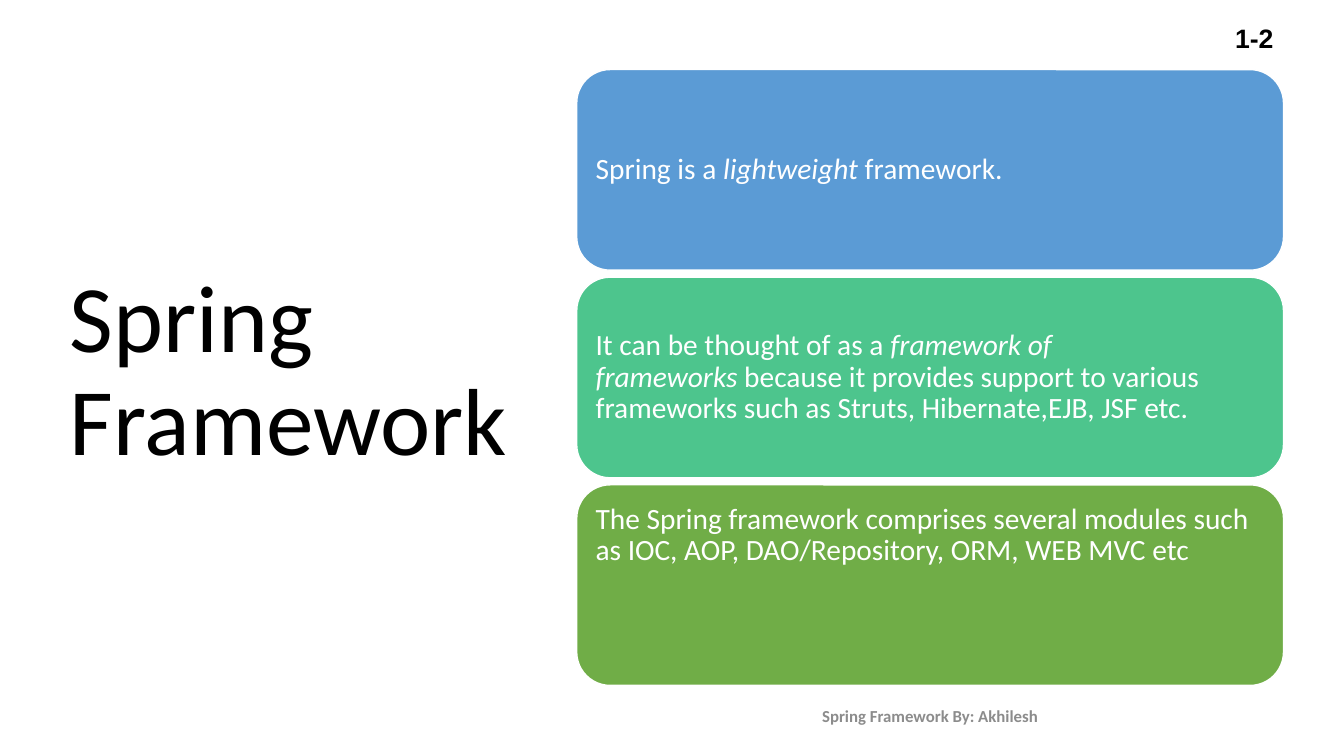
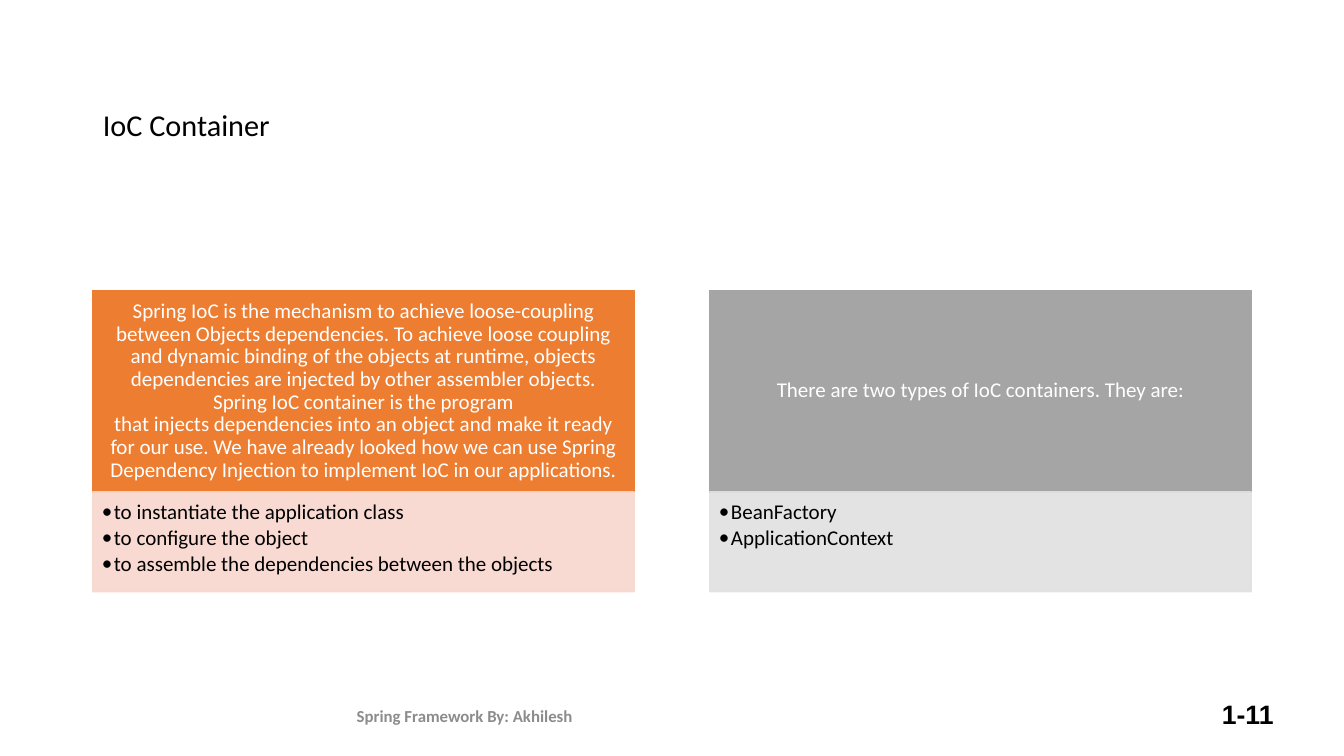
"""Build two slides on the Spring framework and its IoC container."""
from lxml.etree import SubElement
from pptx import Presentation
from pptx.dml.color import RGBColor
from pptx.enum.shapes import MSO_SHAPE as Shape
from pptx.enum.text import MSO_ANCHOR as Anchor, MSO_AUTO_SIZE as AutoSize, PP_ALIGN as Align
from pptx.oxml.ns import qn
from pptx.util import Inches, Pt

BLACK = RGBColor(0x00, 0x00, 0x00)
WHITE = RGBColor(0xFF, 0xFF, 0xFF)
GRAY = RGBColor(0x8C, 0x8C, 0x8C)
BLUE = RGBColor(0x5B, 0x9B, 0xD5)
TEAL = RGBColor(0x4D, 0xC5, 0x8D)
GREEN = RGBColor(0x70, 0xAD, 0x47)
ORANGE = RGBColor(0xED, 0x7D, 0x31)
PEACH = RGBColor(0xF8, 0xD7, 0xCE)
SILVER = RGBColor(0xA5, 0xA5, 0xA5)
PALE = RGBColor(0xE1, 0xE1, 0xE1)

FOOTER = "Spring Framework By: Akhilesh"
FOOTER_TOP = 6.9
HARD_SPACE = chr(160)


def write(frame, paragraphs, size=15, color=BLACK, font="Calibri", bold=False,
          align=Align.LEFT, anchor=Anchor.MIDDLE, insets=(0.1, 0.05, 0.1, 0.05),
          spacing=0.9, after=0, bullet=None):
    """Fill a text frame; asterisks enclose italics and a tilde is a hard space."""
    frame.word_wrap = True
    frame.auto_size = AutoSize.NONE
    frame.vertical_anchor = anchor
    (frame.margin_left, frame.margin_top,
     frame.margin_right, frame.margin_bottom) = map(Inches, insets)
    for index, content in enumerate(paragraphs):
        paragraph = frame.add_paragraph() if index else frame.paragraphs[0]
        paragraph.alignment = align
        paragraph.line_spacing = spacing
        paragraph.space_before = Pt(0)
        paragraph.space_after = Pt(after)
        if bullet:
            properties = paragraph._p.get_or_add_pPr()
            properties.set("marL", str(Inches(0.12)))
            properties.set("indent", str(-Inches(0.12)))
            SubElement(properties, qn("a:buFont"), typeface=font)
            SubElement(properties, qn("a:buChar"), char=bullet)
        for part, piece in enumerate(content.split("*")):
            run = paragraph.add_run()
            run.text = piece.replace("~", HARD_SPACE)
            run.font.name = font
            run.font.size = Pt(size)
            run.font.bold = bold
            run.font.italic = part % 2 == 1
            run.font.color.rgb = color


class Deck:
    """Hold the shared style and the current slide."""

    def __init__(self):
        """Start an empty widescreen presentation."""
        self.presentation = Presentation()
        self.presentation.slide_width = Inches(13.33)
        self.presentation.slide_height = Inches(7.5)
        self.slide = None

    def start(self, title, box, size, insets):
        """Add a slide and set its title."""
        layout = self.presentation.slide_layouts[5]
        self.slide = self.presentation.slides.add_slide(layout)
        heading = self.slide.shapes.title
        (heading.left, heading.top,
         heading.width, heading.height) = map(Inches, box)
        write(heading.text_frame, [title], size=size, insets=insets)

    def label(self, text, box, **style):
        """Add a bold one-line text box."""
        label = self.slide.shapes.add_textbox(*map(Inches, box))
        write(label.text_frame, [text], bold=True, **style)

    def footer(self, left, width, number, number_top):
        """Add the footer line and the page number."""
        self.label(FOOTER, (left, FOOTER_TOP, width, 0.4), size=12, color=GRAY,
                   align=Align.CENTER, spacing=1)
        self.label(number, (11.9, number_top, 0.83, 0.4), size=19, font="Arial",
                   align=Align.RIGHT)

    def panel(self, kind, box, fill, paragraphs, outline=None, opacity=100, **style):
        """Add a filled shape with its text."""
        panel = self.slide.shapes.add_shape(kind, *map(Inches, box))
        panel.shadow.inherit = False
        panel.fill.solid()
        panel.fill.fore_color.rgb = fill
        panel.line.color.rgb = outline or fill
        panel.line.width = Pt(1)
        if opacity < 100:
            for tint in panel.element.spPr.iter(qn("a:srgbClr")):
                SubElement(tint, qn("a:alpha"), val=str(opacity * 1000))
        write(panel.text_frame, paragraphs, **style)

    def column(self, left, fill, tint, statement, items):
        """Add a heading block above a bulleted block."""
        top, width, height = 2.88, 5.37, 2
        self.panel(Shape.RECTANGLE, (left, top, width, height), fill, [statement],
                   color=WHITE, align=Align.CENTER, insets=(0.12, 0.07, 0.12, 0.07))
        self.panel(Shape.RECTANGLE, (left, top + height, width, 0.99), tint, items,
                   opacity=90, anchor=Anchor.TOP, insets=(0.09, 0.09, 0.12, 0.13),
                   after=2.5, bullet="•")


def build_framework(deck):
    """Build the slide that introduces the framework."""
    deck.start("Spring Framework", (0.59, 0.59, 4.92, 6.3), 68,
               insets=(0.1, 0.05, 0.1, 0.13))
    cards = [
        (BLUE, Anchor.MIDDLE, "Spring is a~*lightweight*~framework."),
        (TEAL, Anchor.MIDDLE,
         "It can be thought of as a~*framework of frameworks*~because it provides "
         "support to various frameworks such as Struts, Hibernate,EJB, JSF etc."),
        (GREEN, Anchor.TOP,
         "The Spring framework comprises several modules such as IOC, AOP, "
         "DAO/Repository, ORM, WEB MVC etc"),
    ]
    height, gap = 1.99, 0.07
    for row, (fill, anchor, statement) in enumerate(cards):
        deck.panel(Shape.ROUNDED_RECTANGLE,
                   (5.72, 0.69 + row * (height + gap), 7.01, height),
                   fill, [statement], outline=WHITE, size=21, color=WHITE,
                   anchor=anchor, insets=(0.09, 0.09, 0.09, 0.09))
    deck.footer(5.72, 7.01, "1-2", 0.2)


def build_container(deck):
    """Build the slide on the IoC container."""
    deck.start("IoC Container", (0.92, 0.4, 11.5, 1.45), 21.6,
               insets=(0.1, 0.32, 0.1, 0.05))
    deck.column(
        0.92, ORANGE, PEACH,
        "Spring IoC is the mechanism to achieve loose-coupling between Objects "
        "dependencies. To achieve loose coupling and dynamic binding of the objects "
        "at runtime, objects dependencies are injected by other assembler objects. "
        "Spring IoC container is the program that~injects~dependencies into an object "
        "and make it ready for our use. We have already looked how we can use~Spring "
        "Dependency Injection~to implement IoC in our applications.",
        ["to instantiate the application class", "to configure the object",
         "to assemble the dependencies between the objects"])
    deck.column(7.04, SILVER, PALE, "There are two types of IoC containers. They are:",
                ["BeanFactory", "ApplicationContext"])
    deck.footer(0.59, 8.04, "1-11", FOOTER_TOP)


def main():
    """Build and save the deck."""
    deck = Deck()
    build_framework(deck)
    build_container(deck)
    deck.presentation.save("out.pptx")


if __name__ == "__main__":
    main()
